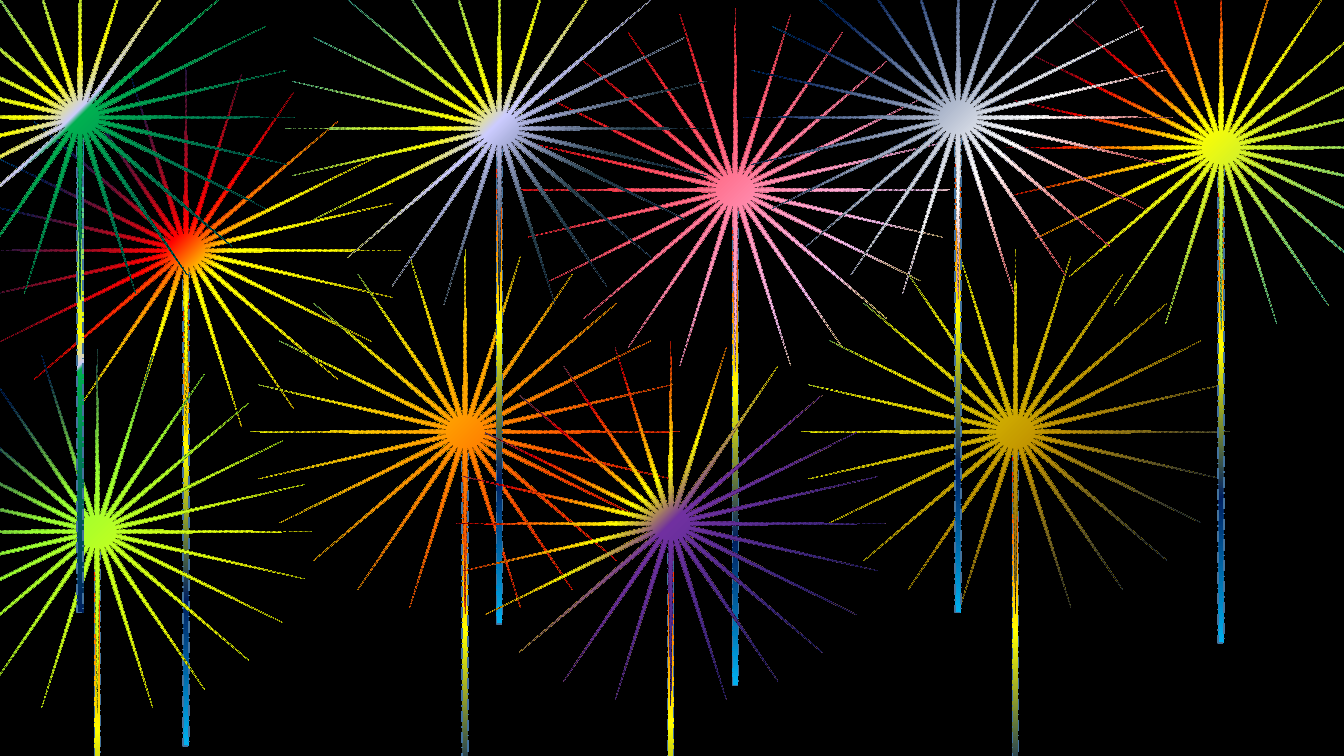
from dataclasses import dataclass

from pptx import Presentation
from pptx import util as u
from pptx.dml.color import RGBColor
from pptx.enum import dml, shapes
from pptx.oxml import parse_xml
from pptx.oxml.ns import nsdecls, qn


@dataclass(frozen=True)
class Theme:
    night: str = "000000"
    navy: str = "002060"
    slate: str = "294451"
    sky: str = "00B0F0"
    red: str = "FF0000"
    yellow: str = "FFFF00"
    pink: str = "FFCCFF"
    gold: str = "BF9000"
    lilac: str = "CCCCFF"
    white: str = "FFFFFF"
    lime: str = "99FF33"
    purple: str = "7030A0"
    green: str = "00B050"
    trail_edge: str = "43739E"
    trail_edge_width: float = 1
    burst_edge_width: float = 0.25


class FireworksSlide:
    """Draws fireworks, with every length a percentage of the slide's size."""

    BURST_SIZE = (31.88, 48.13)
    TRAIL_SIZE = (0.45, 64.13)
    TRAIL_DROP = 1.4
    RADIAL = ('<a:path path="circle"><a:fillToRect l="100000" t="100000"/></a:path>'
              '<a:tileRect r="-100000" b="-100000"/>')
    DOWNWARD = '<a:lin ang="5400000" scaled="1"/>'

    def __init__(self, deck, theme):
        self.deck, self.theme = deck, theme
        self.slide = deck.slides.add_slide(deck.slide_layouts[6])
        sky = self.slide.background.fill
        sky.solid()
        sky.fore_color.rgb = RGBColor.from_string(theme.night)

    def glow(self, shape, stops, direction):
        marks = "".join(
            f'<a:gs pos="{share * 1000}"><a:srgbClr val="{colour}"/></a:gs>'
            for share, colour in stops)
        gradient = parse_xml(
            f'<a:gradFill {nsdecls("a")} rotWithShape="1">'
            f'<a:gsLst>{marks}</a:gsLst>{direction}</a:gradFill>')
        shape.fill.background()
        properties = shape._element.spPr
        properties.replace(properties.find(qn("a:noFill")), gradient)

    def piece(self, kind, left, top, size, stops, direction, edge, edge_width):
        across, down = self.deck.slide_width / 100, self.deck.slide_height / 100
        width, height = size
        shape = self.slide.shapes.add_shape(
            kind, round(left * across), round(top * down),
            round(width * across), round(height * down))
        shape.shadow.inherit = False
        self.glow(shape, stops, direction)
        shape.line.color.rgb = RGBColor.from_string(edge)
        shape.line.width = u.Pt(edge_width)
        shape.line.dash_style = dml.MSO_LINE.LONG_DASH_DOT
        return shape

    def trail(self, x, y, stops, direction):
        self.piece(shapes.MSO_SHAPE.RECTANGLE, x - self.TRAIL_SIZE[0] / 2,
                   y + self.TRAIL_DROP, self.TRAIL_SIZE, stops, direction,
                   self.theme.trail_edge, self.theme.trail_edge_width)

    def burst(self, x, y, stops):
        width, height = self.BURST_SIZE
        star = self.piece(shapes.MSO_SHAPE.STAR_24_POINT, x - width / 2,
                          y - height / 2, self.BURST_SIZE, stops, self.RADIAL,
                          self.theme.night, self.theme.burst_edge_width)
        star.adjustments[0] = 0.046

    def firework(self, x, y, stops, trail_stops=None):
        t = self.theme
        if trail_stops:
            self.trail(x, y, trail_stops, self.RADIAL)
        else:
            embers = [(0, t.red), (39, t.yellow), (70, t.navy), (100, t.sky)]
            self.trail(x, y, embers, self.DOWNWARD)
        self.burst(x, y, stops)


def main():
    deck = Presentation()
    deck.slide_width, deck.slide_height = u.Inches(13.33), u.Inches(7.5)
    t = Theme()
    show = FireworksSlide(deck, t)
    fireworks = [
        (13.84, 33.13, [(44, t.yellow), (53, t.red), (79, t.navy), (100, t.sky)]),
        (34.61, 57.13, [(0, t.navy), (15, t.red), (77, t.yellow), (100, t.sky)]),
        (54.71, 25.13, [(8, t.yellow), (27, t.pink), (86, t.red), (100, t.sky)]),
        (75.56, 57.13, [(8, t.navy), (45, t.gold), (79, t.yellow), (100, t.sky)]),
        (90.86, 19.53, [(3, t.sky), (55, t.yellow), (73, t.red), (100, t.navy)]),
        (37.16, 17, [(0, t.navy), (33, t.slate), (51, t.lilac), (57, t.yellow),
                     (100, t.sky)]),
        (71.29, 15.53, [(8, t.red), (40, t.white), (79, t.navy), (100, t.sky)]),
        (7.24, 70.33, [(25, t.yellow), (58, t.lime), (79, t.navy), (100, t.sky)]),
        (49.91, 69.27, [(0, t.navy), (50, t.purple), (57, t.yellow), (76, t.red),
                        (100, t.sky)]),
    ]
    for x, y, stops in fireworks:
        show.firework(x, y, stops)
    emerald = [(0, t.navy), (50, t.green), (51, t.lilac), (57, t.yellow), (100, t.sky)]
    show.firework(5.96, 15.53, emerald, trail_stops=emerald)
    deck.save("out.pptx")


if __name__ == "__main__":
    main()
